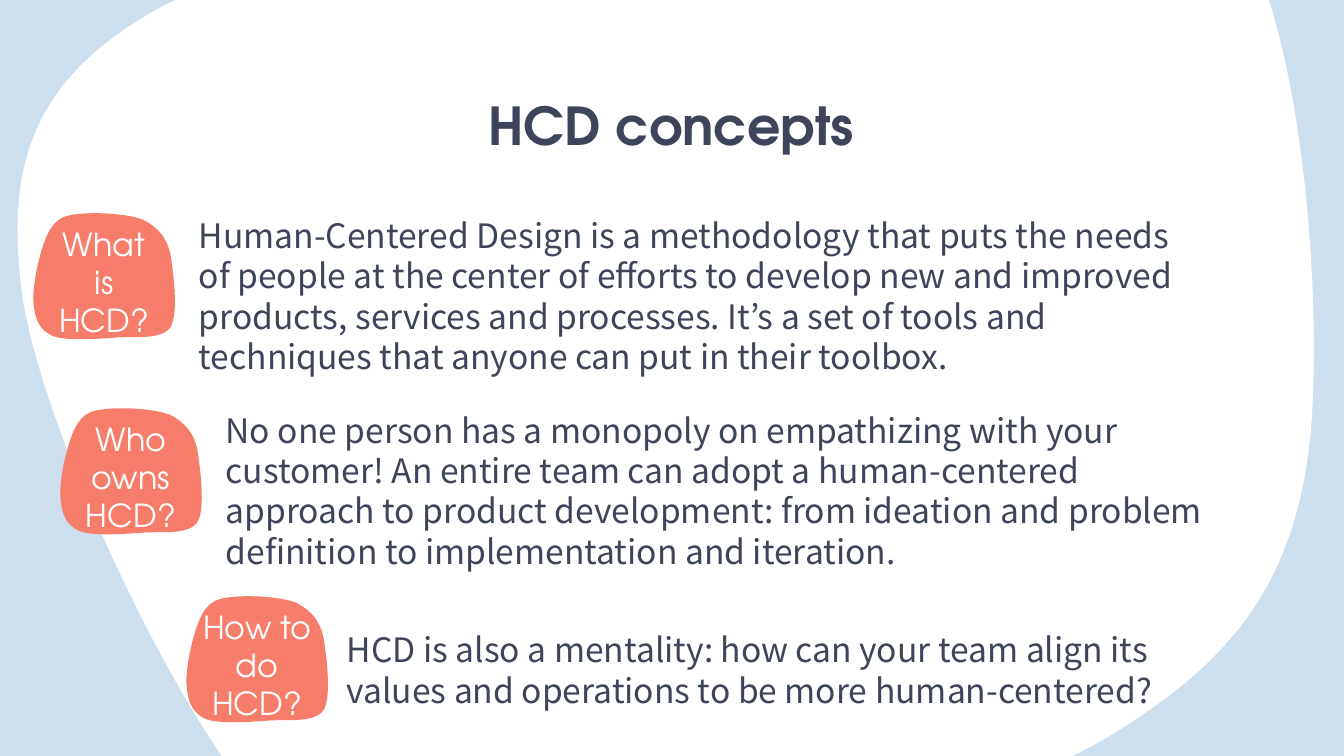
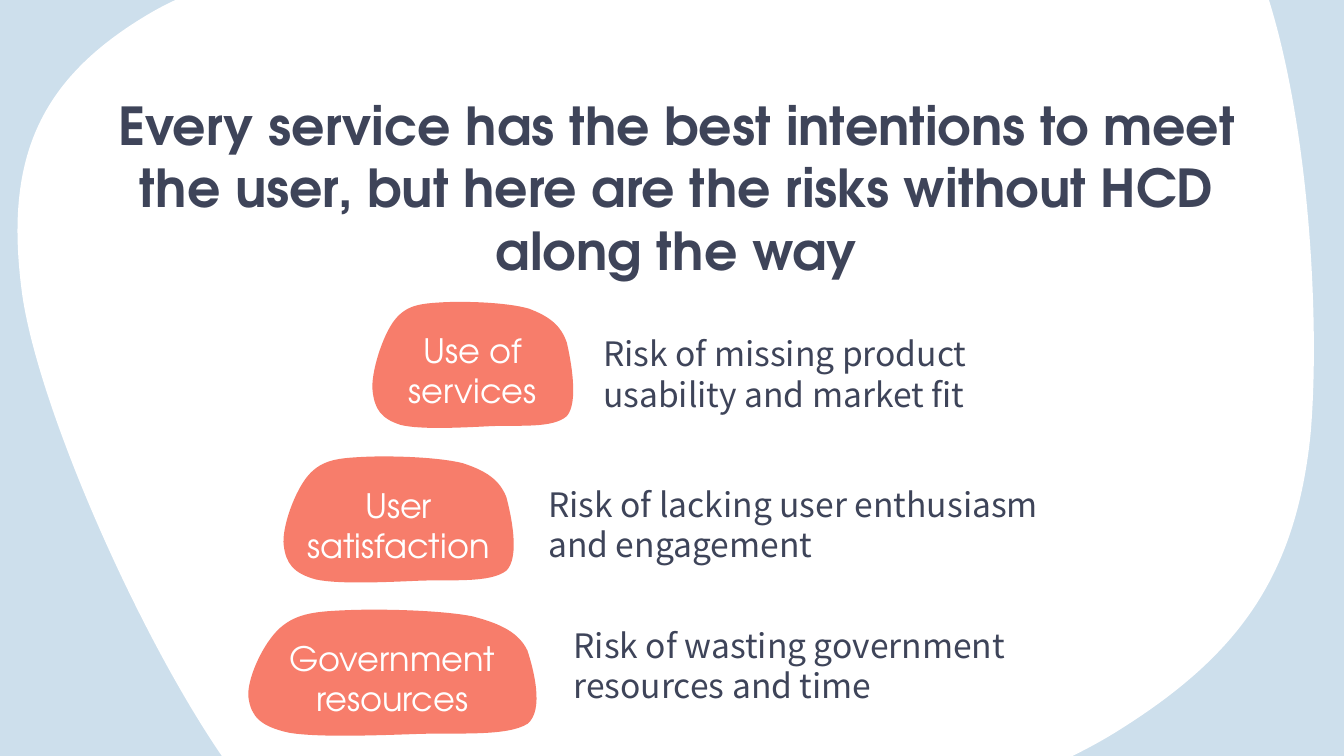
"""Build two slides on human-centered design: its concepts and the risks of skipping it."""
from lxml import etree
from pptx import Presentation
from pptx import util as u
from pptx.dml.color import RGBColor
from pptx.enum import text
from pptx.oxml.ns import qn

COLORS = {"sky": "CDDFEC", "paper": "FFFFFF", "coral": "F77D6B", "ink": "3E4459"}
HEADING_FONT, BODY_FONT = "TeX Gyre Adventor", "Noto Sans CJK KR"
TOP, MIDDLE = text.MSO_ANCHOR.TOP, text.MSO_ANCHOR.MIDDLE
CENTER, LEFT = text.PP_ALIGN.CENTER, text.PP_ALIGN.LEFT
BADGE_HEIGHT, LABEL_DROP, LABEL_HEIGHT = 67.7, 22.4, 28

# Bézier points: the start, then two controls and an end for each curve.
BACKDROP = [
    (386, -60), (292, -47.5), (144, -29.5), (81.5, 6.5), (19.5, 42.5), (2, 86.5), (12, 158.5),
    (22.5, 229.5), (93, 383), (143.5, 436.5), (193.5, 489.5), (239, 484.5), (314.5, 477.5),
    (391, 470), (534, 432.5), (599, 391.5), (663, 351.5), (694, 309.5), (702, 233.5),
    (709, 157.5), (697.5, -16), (645, -65), (592.5, -114), (479.5, -71.5), (386, -60),
]
# Badge points as fractions of its width and height.
BADGE = [
    (0.59, 0.98), (0.46, 0.99), (0.24, 1.01), (0.14, 0.97), (0.04, 0.92), (0.01, 0.84), (0, 0.7),
    (-0.01, 0.56), (0.05, 0.26), (0.11, 0.14), (0.17, 0.02), (0.24, 0.01), (0.35, 0),
    (0.46, -0.01), (0.67, 0), (0.78, 0.05), (0.88, 0.11), (0.94, 0.18), (0.97, 0.32),
    (0.99, 0.46), (1.03, 0.79), (0.97, 0.9), (0.9, 1), (0.73, 0.97), (0.59, 0.98),
]

# Each row: badge (left, top, width), label, label width, note box, note anchor, note.
SLIDES = [
    ("HCD concepts", (56, 42.5, 607, 40), 17, [
        ((18, 114.5, 75.6), "What is HCD?", 62.6, (99.4, 108, 555, 99.4), TOP,
         "Human-Centered Design is a methodology that puts the needs of people at the center of "
         "efforts to develop new and improved products, services and processes. It’s a set of "
         "tools and techniques that anyone can put in their toolbox."),
        ((32.4, 219, 75.6), "Who owns HCD?", 62.6, (113.8, 206.6, 538.6, 112.3), MIDDLE,
         "No one person has a monopoly on empathizing with your customer! An entire team can "
         "adopt a human-centered approach to product development: from ideation and problem "
         "definition to implementation and iteration."),
        ((100, 319.7, 75.6), "How to do HCD?", 74.2, (178.6, 330, 452.2, 75), TOP,
         "HCD is also a mentality: how can your team align its values and operations to be "
         "more human-centered?"),
    ]),
    ("Every service has the best intentions to meet the user, but here are the risks without "
     "HCD along the way", (41, 42.5, 643, 77), 18, [
        ((199.6, 162, 107.3), "Use of services", 104.4, (316, 155.5, 234.7, 89.3), MIDDLE,
         "Risk of missing product usability and market fit"),
        ((152, 244.8, 123), "User satisfaction", 118.8, (286.6, 236.2, 296.6, 89.3), MIDDLE,
         "Risk of lacking user enthusiasm and engagement"),
        ((133.2, 326.9, 154), "Government resources", 139.7, (300.2, 311.8, 301.7, 89.3), MIDDLE,
         "Risk of wasting government resources and time"),
    ]),
]


def draw_outline(page, points, color):
    """Draw a closed, filled outline of cubic curves."""
    points = [(u.Pt(x), u.Pt(y)) for x, y in points]
    builder = page.shapes.build_freeform(*points[0], scale=1.0)
    builder.add_line_segments(points[1:], close=True)
    outline = builder.convert_to_shape()
    outline.shadow.inherit = False
    outline.fill.solid()
    outline.fill.fore_color.rgb = RGBColor.from_string(COLORS[color])
    outline.line.fill.background()
    segments = list(outline.element.iter(qn("a:lnTo")))
    for start in range(0, len(segments), 3):
        curve = etree.Element(qn("a:cubicBezTo"))
        segments[start].addprevious(curve)
        for segment in segments[start:start + 3]:
            curve.append(segment[0])
            segment.getparent().remove(segment)
    return outline


def write_text(box, frame, words, font, size, color, align, anchor, bold=False):
    """Place a text box or placeholder and set its formatted text."""
    box.left, box.top, box.width, box.height = [u.Pt(length) for length in frame]
    body = box.text_frame
    body.text = words
    body.word_wrap = True
    body.auto_size = text.MSO_AUTO_SIZE.NONE
    body.vertical_anchor = anchor
    body.margin_left = body.margin_right = body.margin_top = body.margin_bottom = u.Pt(7.2)
    para = body.paragraphs[0]
    para.alignment = align
    span = para.runs[0]
    span.font.name, span.font.size, span.font.bold = font, u.Pt(size), bold
    span.font.color.rgb = RGBColor.from_string(COLORS[color])
    return para


deck = Presentation()
deck.slide_width, deck.slide_height = u.Pt(720), u.Pt(405)
layout = deck.slide_layouts[5]
layout.background.fill.solid()
layout.background.fill.fore_color.rgb = RGBColor.from_string(COLORS["sky"])

for number, (title, title_frame, label_size, rows) in enumerate(SLIDES):
    page = deck.slides.add_slide(layout)
    if number == 0:
        backdrop = draw_outline(page, BACKDROP, "paper")
        layout.shapes.element.insert(2, backdrop.element)
    write_text(page.shapes.title, title_frame, title, HEADING_FONT, 28, "ink", CENTER, TOP, True)

    for (left, top, width), label, label_width, note_frame, anchor, note in rows:
        badge = [(left + x * width, top + y * BADGE_HEIGHT) for x, y in BADGE]
        draw_outline(page, badge, "coral")
        label_left = left + (width - label_width) / 2
        label_frame = (label_left, top + LABEL_DROP, label_width, LABEL_HEIGHT)
        write_text(page.shapes.add_textbox(0, 0, 0, 0), label_frame, label,
                   HEADING_FONT, label_size, "paper", CENTER, MIDDLE)
        para = write_text(page.shapes.add_textbox(0, 0, 0, 0), note_frame, note,
                          BODY_FONT, 18, "ink", LEFT, anchor)
        para.line_spacing = u.Pt(21.6)

deck.save("out.pptx")
